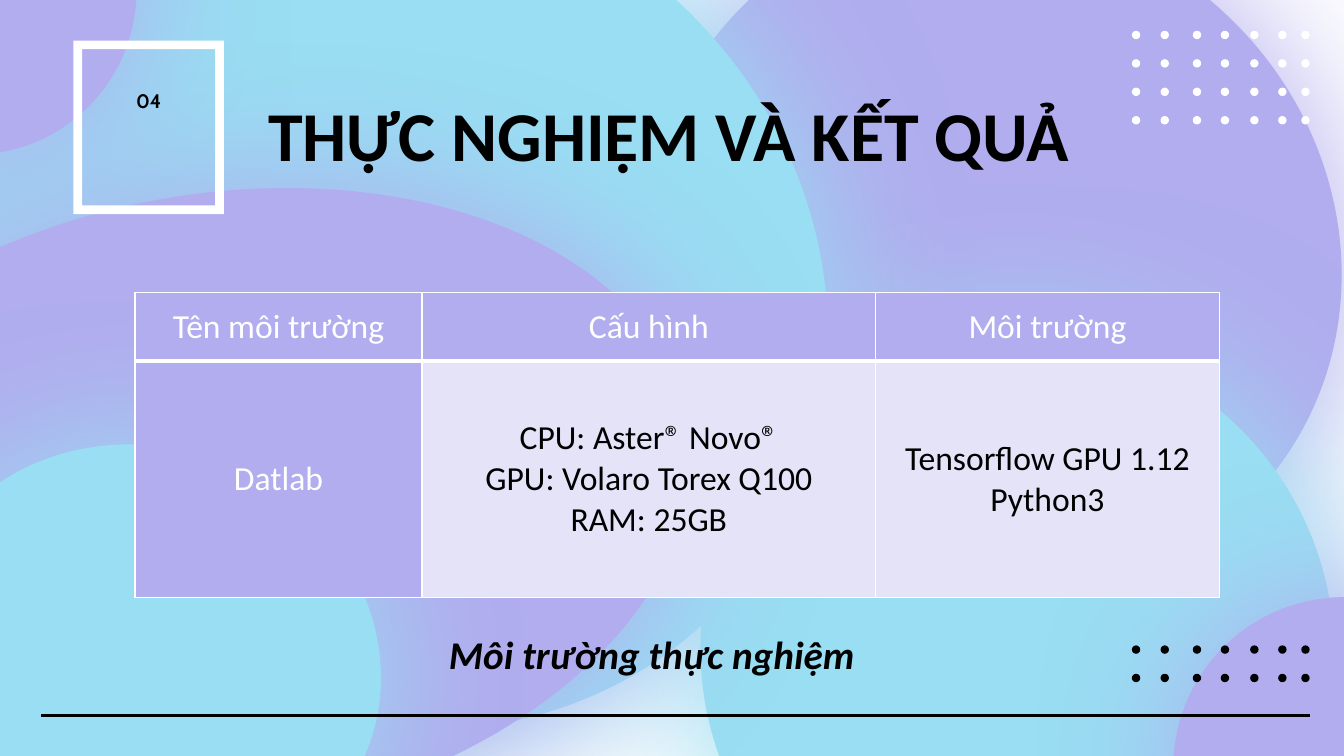
import pptx
import pptx.dml.color
import pptx.enum.shapes
import pptx.enum.text
import pptx.oxml
import pptx.oxml.ns
import pptx.util
from lxml import etree

Pt = pptx.util.Pt
SHAPE = pptx.enum.shapes.MSO_SHAPE
ALIGN = pptx.enum.text.PP_ALIGN
ANCHOR = pptx.enum.text.MSO_ANCHOR
qn = pptx.oxml.ns.qn

LILAC, CYAN, PALE = "B1ADEE", "99DEF3", "E4E3F8"
BLACK, WHITE = "000000", "FFFFFF"

# left, top, width, height, rotation, colour
ELLIPSES = [
    (458, -56, 506, 474.5, 37.4, LILAC),
    (499.5, 240.5, 454.5, 450, 37.4, CYAN),
    (-41, -80.5, 641, 593, 37.4, CYAN),
    (837.5, 427, 248.5, 246, 37.4, LILAC),
    (-70, 18.5, 446.5, 687.5, 79.9, LILAC),
    (-49, 303, 306.5, 340, 111.4, CYAN),
    (-137, -124, 234.5, 234.5, 0, LILAC),
]
DOT_LEFTS = [808.5, 829, 852, 872, 893, 913, 929.5]
DOT_SIZE, DOT_PITCH = 6, 20.3

ENVIRONMENTS = [
    [["Tên môi trường"], ["Cấu hình"], ["Môi trường"]],
    [["Datlab"],
     ["CPU: Aster® Novo®", "GPU: Volaro Torex Q100", "RAM: 25GB"],
     ["Tensorflow GPU 1.12", "Python3"]],
]


def rgb(color):
    return pptx.dml.color.RGBColor.from_string(color)


def add_filled(s, shape, left, top, width, height, color):
    sp = s.shapes.add_shape(shape, Pt(left), Pt(top), Pt(width), Pt(height))
    sp.shadow.inherit = False
    sp.fill.solid()
    sp.fill.fore_color.rgb = rgb(color)
    sp.line.fill.background()
    return sp


def add_glowing_ellipse(s, left, top, width, height, rotation, color):
    """Ellipse with a wide soft shadow in its own colour."""
    sp = add_filled(s, SHAPE.OVAL, left, top, width, height, color)
    sp.rotation = rotation
    effects = sp.element.spPr.find(qn("a:effectLst"))
    shadow = etree.SubElement(effects, qn("a:outerShdw"), blurRad=str(Pt(112.5)),
                              dist=str(Pt(0.8)), dir="0", rotWithShape="0")
    etree.SubElement(shadow, qn("a:srgbClr"), val=color)


def add_dots(s, top, rows, color):
    for row in range(rows):
        for left in DOT_LEFTS:
            add_filled(s, SHAPE.OVAL, left, top + row * DOT_PITCH,
                       DOT_SIZE, DOT_SIZE, color)


def add_rule(s, x1, x2, y):
    cx = s.shapes.add_connector(pptx.enum.shapes.MSO_CONNECTOR.STRAIGHT,
                                Pt(x1), Pt(y), Pt(x2), Pt(y))
    cx.line.color.rgb = rgb(BLACK)
    cx.line.width = Pt(2.25)
    etree.SubElement(cx.element.spPr, qn("a:effectLst"))


def add_run(p, text, size, color, font="Calibri", bold=False, italic=False):
    r = p.add_run()
    r.text = text
    r.font.name = font
    r.font.size = Pt(size)
    r.font.bold = bold
    r.font.italic = italic
    r.font.color.rgb = rgb(color)


def set_frame(tf, inset_x, inset_y):
    tf.word_wrap = True
    tf.auto_size = pptx.enum.text.MSO_AUTO_SIZE.NONE
    tf.vertical_anchor = ANCHOR.TOP
    tf.margin_left = tf.margin_right = Pt(inset_x)
    tf.margin_top = tf.margin_bottom = Pt(inset_y)


def set_title(s, text):
    title = s.shapes.title
    title.left, title.top = Pt(182), Pt(55.5)
    title.width, title.height = Pt(662), Pt(75)
    set_frame(title.text_frame, 9.5, 9.5)
    p = title.text_frame.paragraphs[0]
    p.alignment = ALIGN.LEFT
    p.line_spacing = 1.0
    add_run(p, text, 50, BLACK, bold=True)
    s.shapes.element.append(title.element)  # bring in front of the ellipses


def add_centred_text(s, left, top, width, height, inset_x, inset_y):
    """Add a text box and return its first paragraph."""
    sp = s.shapes.add_textbox(Pt(left), Pt(top), Pt(width), Pt(height))
    set_frame(sp.text_frame, inset_x, inset_y)
    p = sp.text_frame.paragraphs[0]
    p.alignment = ALIGN.CENTER
    return p


def set_borders(cell, bottom_width):
    tcPr = cell._tc.get_or_add_tcPr()
    widths = {"lnL": 1, "lnR": 1, "lnT": 1, "lnB": bottom_width}
    for i, (side, width) in enumerate(widths.items()):
        ln = etree.Element(qn("a:" + side), w=str(Pt(width)))
        fill = etree.SubElement(ln, qn("a:solidFill"))
        etree.SubElement(fill, qn("a:srgbClr"), val=WHITE)
        tcPr.insert(i, ln)


def fill_cell(cell, lines, fill, color, bottom_width):
    cell.fill.solid()
    cell.fill.fore_color.rgb = rgb(fill)
    cell.vertical_anchor = ANCHOR.MIDDLE
    cell.margin_left = cell.margin_right = Pt(5)
    cell.margin_top = cell.margin_bottom = 0
    tf = cell.text_frame
    for i, line in enumerate(lines):
        p = tf.add_paragraph() if i else tf.paragraphs[0]
        p.alignment = ALIGN.CENTER
        add_run(p, line, 24, color)
    set_borders(cell, bottom_width)


def add_environment_table(s):
    widths, heights = [205, 324, 245.5], [49, 169]
    table = s.shapes.add_table(len(heights), len(widths), Pt(96.5), Pt(209),
                               Pt(sum(widths)), Pt(sum(heights))).table
    for column, width in zip(table.columns, widths):
        column.width = Pt(width)
    for row, height in zip(table.rows, heights):
        row.height = Pt(height)
    for i, row in enumerate(ENVIRONMENTS):
        for j, lines in enumerate(row):
            is_heading = i == 0 or j == 0
            fill, color = (LILAC, WHITE) if is_heading else (PALE, BLACK)
            fill_cell(table.cell(i, j), lines, fill, color, 3 if i == 0 else 1)
    for j in range(len(widths)):
        top_line = table.cell(1, j)._tc.tcPr.find(qn("a:lnT"))
        top_line.set("w", str(Pt(3)))


def main():
    prs = pptx.Presentation()
    prs.slide_width, prs.slide_height = Pt(960), Pt(540)
    s = prs.slides.add_slide(prs.slide_layouts[5])

    for ellipse in ELLIPSES:
        add_glowing_ellipse(s, *ellipse)
    frame = add_filled(s, SHAPE.FRAME, 52.5, 29, 107.5, 124, WHITE)
    frame.adjustments[0] = 0.058
    add_rule(s, 29.5, 935.5, 511)
    add_dots(s, 461, 2, BLACK)
    add_dots(s, 22, 4, WHITE)

    set_title(s, "THỰC NGHIỆM VÀ KẾT QUẢ")
    number = add_centred_text(s, 63.5, 60, 85.5, 65.5, 7.2, 3.6)
    add_run(number, "04", 14, BLACK, font="Cabin", bold=True)
    add_environment_table(s)
    caption = add_centred_text(s, 270, 435.5, 391, 57, 9.5, 9.5)
    caption.line_spacing = 1.15
    caption.space_after = Pt(21)
    add_run(caption, "Môi trường thực nghiệm", 28, BLACK, bold=True, italic=True)

    prs.save("out.pptx")


if __name__ == "__main__":
    main()
